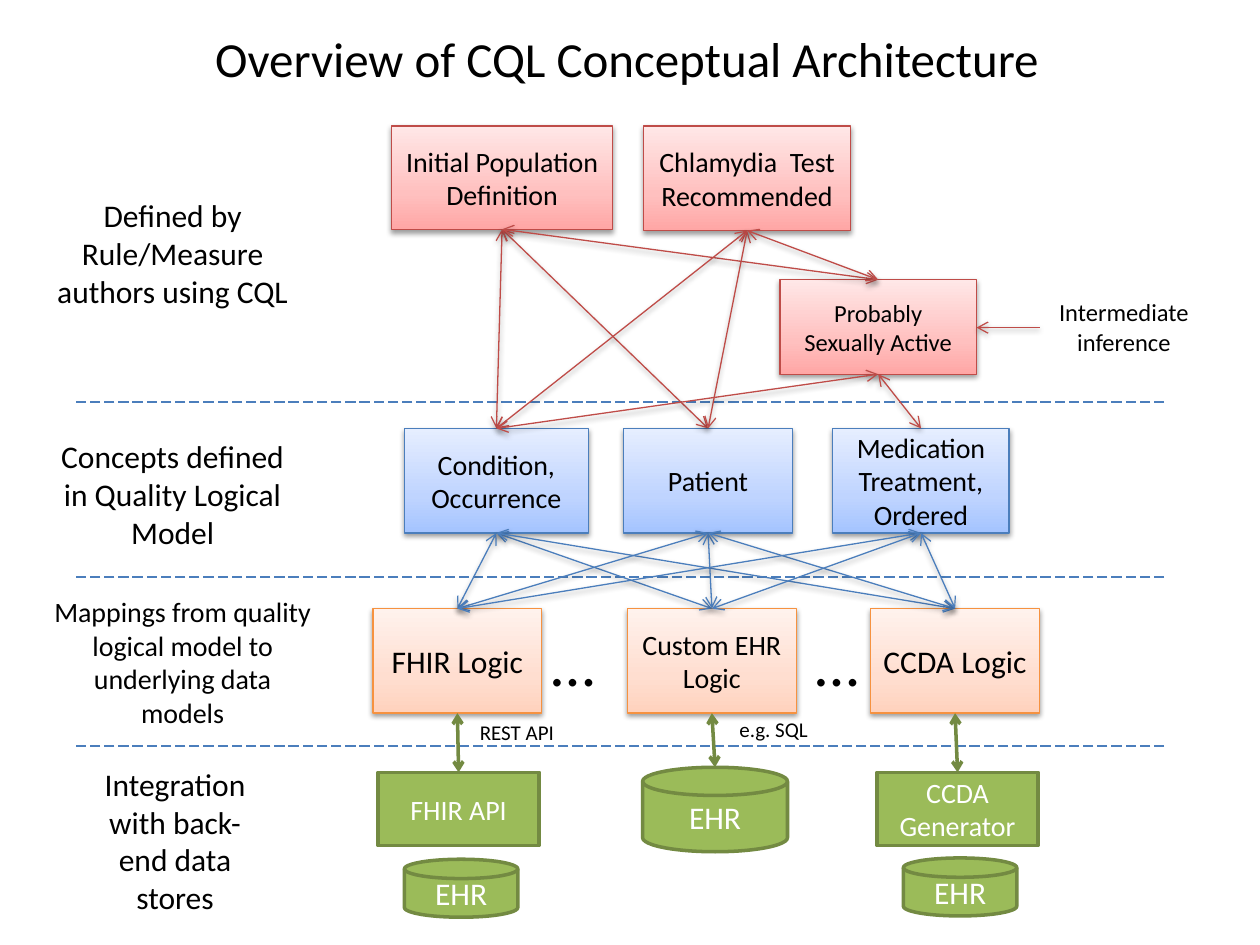
from lxml import etree
from pptx import Presentation
from pptx.dml.color import RGBColor
from pptx.enum.dml import MSO_LINE
from pptx.enum.shapes import MSO_CONNECTOR, MSO_SHAPE as SHAPE
from pptx.enum.text import MSO_ANCHOR, MSO_AUTO_SIZE, PP_ALIGN as ALIGN
from pptx.oxml.ns import qn
from pptx.util import Inches, Pt

FONT = "Calibri"
TOP, BOTTOM = 0, 2
STYLES = {
    "red": dict(grad=[(0, "FFA6A5"), (35, "FFC0BF"), (100, "FFE7E7")], line="BF4C48", width=0.75, text="000000"),
    "blue": dict(grad=[(0, "A4C4FF"), (35, "BFD4FF"), (100, "E6EEFF")], line="4B7EBC", width=0.75, text="000000"),
    "orange": dict(grad=[(0, "FFD2BD"), (35, "FFDED0"), (100, "FFF2ED")], line="F69240", width=0.75, text="000000"),
    "green": dict(fill="9BBB59", line="738A42", width=2, text="FFFFFF"),
}


def rgb(value):
    return RGBColor.from_string(value)


def sub(parent, tag, **attrs):
    return etree.SubElement(parent, qn(tag), {k: str(v) for k, v in attrs.items()})


class Diagram:
    def __init__(self, slide):
        self.shapes = slide.shapes

    def effects(self, sp, shadow):
        spPr = sp._element.spPr
        for old in spPr.findall(qn("a:effectLst")):
            spPr.remove(old)
        effects = sub(spPr, "a:effectLst")
        if shadow:
            outer = sub(effects, "a:outerShdw", blurRad=Pt(3.1), dist=Pt(1.6), dir=5400000, rotWithShape=0)
            sub(sub(outer, "a:srgbClr", val="000000"), "a:alpha", val=38000)

    def outline(self, sp, color, width):
        sp.line.color.rgb = rgb(color)
        sp.line.width = Pt(width)

    def add_text(self, sp, text, size, color, align):
        p = sp.text_frame.paragraphs[0]
        p.alignment = align
        r = p.add_run()
        r.text = text
        for name, value in dict(name=FONT, size=Pt(size)).items():
            setattr(r.font, name, value)
        r.font.color.rgb = rgb(color)

    def node(self, text, style, size, box, kind=SHAPE.RECTANGLE):
        st = STYLES[style]
        sp = self.shapes.add_shape(kind, *map(Inches, box))
        if "grad" in st:
            sp.fill.gradient()
            sp.fill.gradient_angle = 90
            stops = sp._element.spPr.find(qn("a:gradFill")).find(qn("a:gsLst"))
            for old in list(stops):
                stops.remove(old)
            for pos, color in st["grad"]:
                sub(sub(stops, "a:gs", pos=pos * 1000), "a:srgbClr", val=color)
        else:
            sp.fill.solid()
            sp.fill.fore_color.rgb = rgb(st["fill"])
        self.outline(sp, st["line"], st["width"])
        self.effects(sp, "grad" in st)
        sp.text_frame.word_wrap = True
        sp.text_frame.vertical_anchor = MSO_ANCHOR.MIDDLE
        self.add_text(sp, text, size, st["text"], ALIGN.CENTER)
        return sp

    def label(self, text, size, box, align=ALIGN.CENTER, wrap=True):
        sp = self.shapes.add_textbox(*map(Inches, box))
        sp.text_frame.word_wrap = wrap
        sp.text_frame.auto_size = MSO_AUTO_SIZE.SHAPE_TO_FIT_TEXT
        self.add_text(sp, text, size, "000000", align)

    def line(self, start, end, style, ends=(), shadow=False):
        st = STYLES[style]
        c = self.shapes.add_connector(MSO_CONNECTOR.STRAIGHT, *start, *end)
        self.outline(c, st["line"], st["width"])
        ln = c._element.spPr.find(qn("a:ln"))
        for tag in ends:
            sub(ln, tag, type="arrow")
        self.effects(c, shadow)
        return c

    def link(self, upper, lower, style):
        """Two-headed arrow from the bottom of one node to the top of another."""
        start = upper.left + upper.width // 2, upper.top + upper.height
        end = lower.left + lower.width // 2, lower.top
        c = self.line(start, end, style, ("a:headEnd", "a:tailEnd"), style != "green")
        c.begin_connect(upper, BOTTOM)
        # The top of a disk is its connection site 1
        c.end_connect(lower, 1 if lower.auto_shape_type == SHAPE.FLOWCHART_MAGNETIC_DISK else TOP)
        c.end_x, c.end_y = end


prs = Presentation()
prs.slide_width, prs.slide_height = Inches(10), Inches(7.5)
d = Diagram(prs.slides.add_slide(prs.slide_layouts[6]))

# Title and layer descriptions
d.label("Overview of CQL Conceptual Architecture", 28, (1.61, 0.18, 6.81, 0.57), ALIGN.LEFT, False)
for text, size, box in [
    ("Defined by Rule/Measure authors using CQL", 18, (0.3, 1.51, 2.14, 1.01)),
    ("Concepts defined in Quality Logical Model", 18, (0.34, 3.42, 2.06, 1.01)),
    ("Mappings from quality logical model to underlying data models", 16, (0.32, 4.67, 2.26, 1.18)),
    ("Integration with back-end data stores", 18, (0.61, 6.02, 1.56, 1.31)),
    ("Intermediate inference", 14, (8.25, 2.31, 1.34, 0.57)),
]:
    d.label(text, size, box)

# Layer dividers
for y in (3.19, 4.58, 5.92):
    c = d.line((Inches(9.24), Inches(y)), (Inches(0.58), Inches(y)), "blue")
    c.line.dash_style = MSO_LINE.LONG_DASH

# Rules
population = d.node("Initial Population Definition", "red", 16, (3.11, 1, 1.75, 0.82))
test = d.node("Chlamydia  Test Recommended", "red", 16, (5.11, 1, 1.64, 0.83))
active = d.node("Probably Sexually Active", "red", 14, (6.19, 2.22, 1.56, 0.75))

# Concepts
concepts = [d.node(text, "blue", 16, (x, 3.4, w, 0.83)) for text, x, w in [
    ("Condition, Occurrence", 3.21, 1.46),
    ("Patient", 4.95, 1.34),
    ("Medication Treatment, Ordered", 6.61, 1.4),
]]
condition, patient, medication = concepts

# Mapping logic
logics = [d.node(text, "orange", size, (x, 4.83, 1.34, 0.83)) for text, size, x in [
    ("FHIR Logic", 18, 2.96),
    ("Custom EHR Logic", 16, 4.98),
    ("CCDA Logic", 18, 6.91),
]]
for x in (4.28, 6.37):
    d.label("…", 36, (x, 4.9, 0.55, 0.71), ALIGN.LEFT, False)

# Back-end stores
DISK = SHAPE.FLOWCHART_MAGNETIC_DISK
stores = [
    d.node("FHIR API", "green", 16, (3, 6.13, 1.28, 0.58)),
    d.node("EHR", "green", 18, (5.1, 6.09, 1.15, 0.67), DISK),
    d.node("CCDA Generator", "green", 16, (6.96, 6.13, 1.28, 0.58)),
]
for x, y in ((3.21, 6.82), (7.17, 6.81)):
    d.node("EHR", "green", 18, (x, y, 0.9, 0.46), DISK)
d.label("REST API", 12, (3.71, 5.66, 1.13, 0.3), ALIGN.LEFT)
d.label("e.g. SQL", 12, (5.77, 5.64, 0.81, 0.3), ALIGN.LEFT)

# Links between layers
for rule, targets in [
    (population, (condition, patient, active)),
    (test, (condition, patient, active)),
    (active, (condition, medication)),
]:
    for target in targets:
        d.link(rule, target, "red")
for concept in concepts:
    for logic in logics:
        d.link(concept, logic, "blue")
for logic, store in zip(logics, stores):
    d.link(logic, store, "green")

# Pointer to the intermediate inference
d.line((Inches(8.25), Inches(2.6)), (Inches(7.75), Inches(2.6)), "red", ("a:tailEnd",), True)

prs.save("out.pptx")
